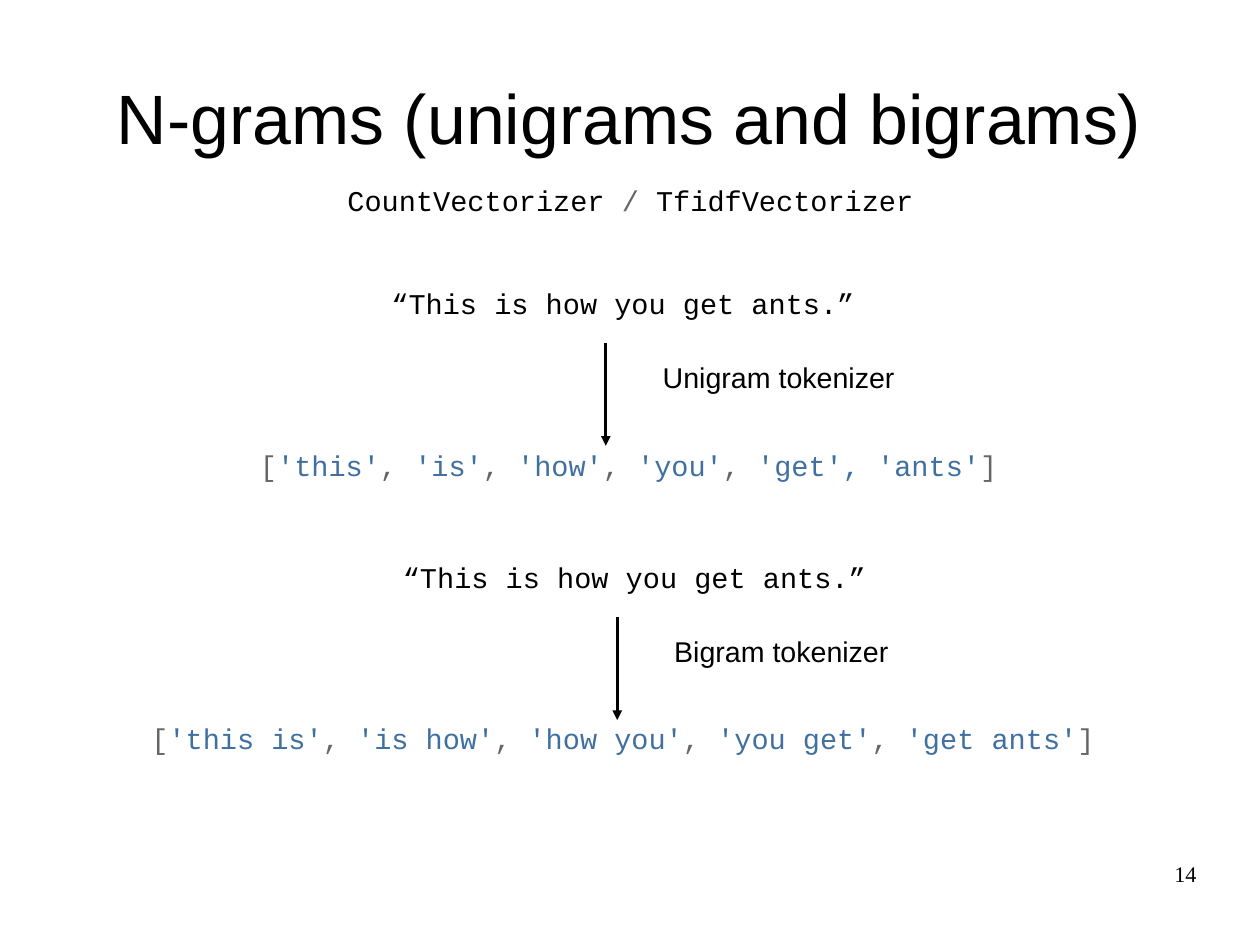
from dataclasses import dataclass

from lxml.etree import SubElement
from pptx import Presentation
from pptx.dml.color import RGBColor
from pptx.enum.shapes import MSO_CONNECTOR
from pptx.enum.text import MSO_ANCHOR, MSO_AUTO_SIZE, PP_ALIGN
from pptx.oxml.ns import qn
from pptx.util import Pt


@dataclass(frozen=True)
class Theme:
    ink: str = "000000"
    mark: str = "666666"
    token: str = "4070A0"
    sans: str = "Arial"
    code: str = "Courier New"
    serif: str = "Times New Roman"
    title: int = 44
    body: int = 18
    number: int = 14


THEME = Theme()


def write(sp, runs, font, size, align=PP_ALIGN.CENTER, inset=(0, 0), wrap=True):
    tf = sp.text_frame
    tf.auto_size = MSO_AUTO_SIZE.NONE
    tf.word_wrap = wrap
    tf.margin_left = tf.margin_right = Pt(inset[0])
    tf.margin_top = tf.margin_bottom = Pt(inset[1])
    p = tf.paragraphs[0]
    p.alignment = align
    p.font.name = font
    p.font.size = Pt(size)
    for text, color in runs:
        r = p.add_run()
        r.text = text
        r.font.color.rgb = RGBColor.from_string(color)


def add_text(slide, box, runs, font=THEME.code, size=THEME.body, **options):
    sp = slide.shapes.add_textbox(*map(Pt, box))
    write(sp, runs, font, size, **options)


def add_arrow(slide, x, top, length):
    line = slide.shapes.add_connector(
        MSO_CONNECTOR.STRAIGHT, Pt(x), Pt(top), Pt(x), Pt(top + length))
    line.line.color.rgb = RGBColor.from_string(THEME.ink)
    line.line.width = Pt(0)
    SubElement(line.line._get_or_add_ln(), qn("a:tailEnd"), type="triangle")
    SubElement(line._element.spPr, qn("a:effectLst"))


def add_heading(slide, box):
    title = slide.shapes.title
    title.left, title.top, title.width, title.height = map(Pt, box)
    title.text_frame.vertical_anchor = MSO_ANCHOR.MIDDLE
    write(title, [("N-grams (unigrams and bigrams)", THEME.ink)],
          THEME.sans, THEME.title)


def add_classes(slide, box):
    runs = [("CountVectorizer ", THEME.ink), ("/", THEME.mark),
            (" TfidfVectorizer", THEME.ink)]
    add_text(slide, box, runs, wrap=False)


def token_runs(tokens):
    runs = [("[", THEME.mark)]
    for i, token in enumerate(tokens):
        if i:
            runs.append((", ", THEME.mark))
        runs.append((token, THEME.token))
    return runs + [("]", THEME.mark)]


def add_tokenizer(slide, box, name, tokens, list_left, list_width):
    left, top, width, height = box
    line_height = 20.9
    add_text(slide, (left, top, width, line_height),
             [("“This is how you get ants.”", THEME.ink)])
    add_arrow(slide, left + 158.4, top + 36, 64.8)
    add_text(slide, (left + 187.2, top + 43.2, 208.8, 47.5),
             [(f"{name} tokenizer", THEME.ink)], THEME.sans,
             align=PP_ALIGN.LEFT, inset=(7.2, 3.6))
    add_text(slide, (list_left, top + height - line_height, list_width, line_height),
             token_runs(tokens))


def add_page_number(slide, box):
    add_text(slide, box, [("14", THEME.ink)], THEME.serif, THEME.number,
             align=PP_ALIGN.RIGHT)


def main():
    prs = Presentation()
    prs.slide_width, prs.slide_height = Pt(793.7), Pt(595.3)
    slide = prs.slides.add_slide(prs.slide_layouts[5])
    add_heading(slide, (39.6, 23.8, 714.2, 99.4))
    add_classes(slide, (218.9, 115.2, 356.4, 20.9))
    add_tokenizer(slide, (223.2, 180, 338.4, 123.1), "Unigram",
                  ["'this'", "'is'", "'how'", "'you'", "'get', 'ants'"],
                  151.2, 489.6)
    add_tokenizer(slide, (230.4, 352.8, 338.4, 122.4), "Bigram",
                  ["'this is'", "'is how'", "'how you'", "'you get'", "'get ants'"],
                  79.2, 626.4)
    add_page_number(slide, (568.8, 542.2, 185, 41))
    prs.save("out.pptx")


if __name__ == "__main__":
    main()
